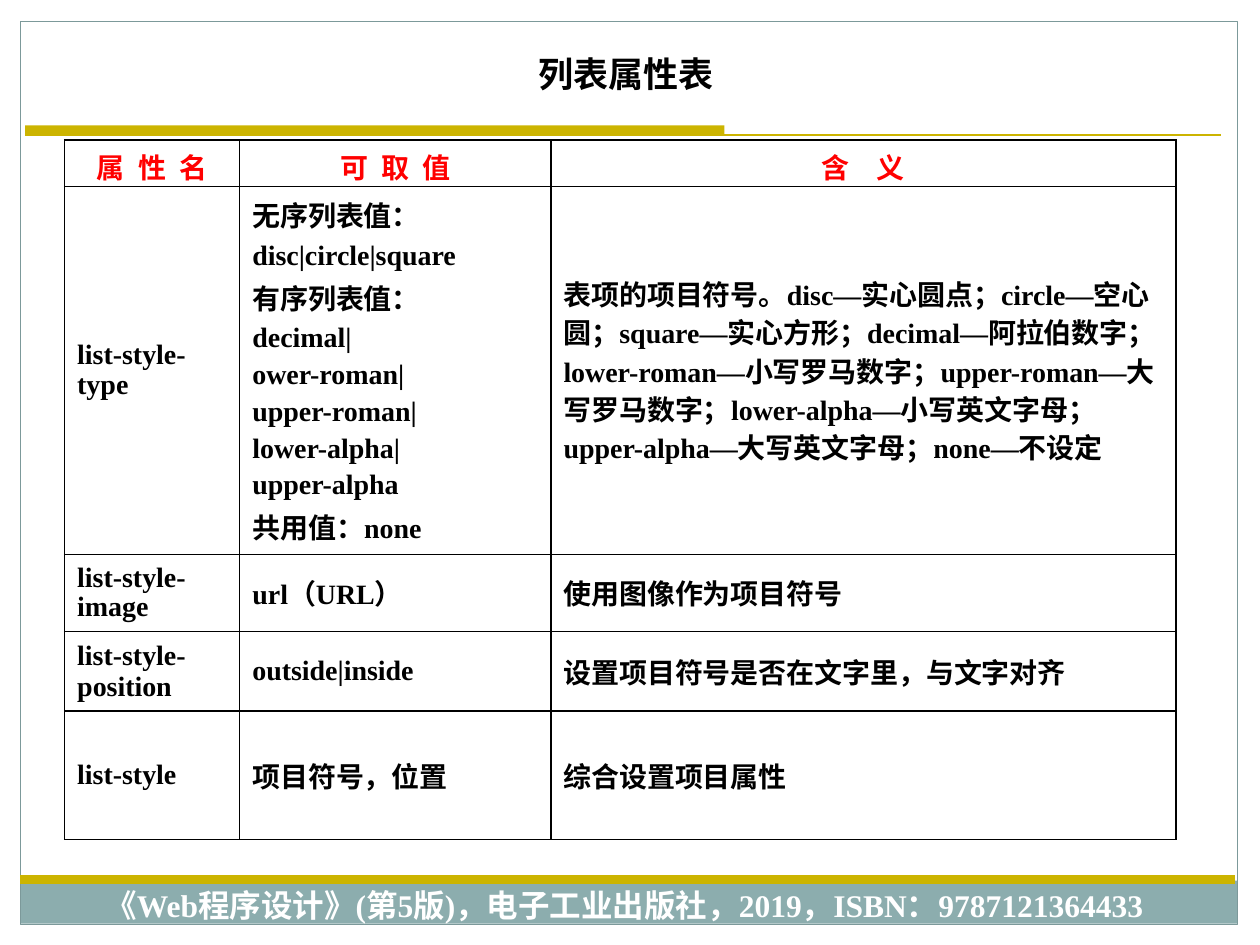
from dataclasses import dataclass
from typing import Any

from lxml import etree
from pptx import Presentation
from pptx import util as u
from pptx.dml.color import RGBColor
from pptx.enum import shapes, text
from pptx.oxml.ns import qn

HEADERS = [("属 性 名", 2), ("可 取 值", 2), ("含 义", 6)]
LIST_VALUES = [
    "无序列表值：", "disc|circle|square", "有序列表值：", "decimal|", "ower-roman|",
    "upper-roman|", "lower-alpha|", "upper-alpha", "共用值：none",
]
MARKERS = (
    "表项的项目符号。disc—实心圆点；circle—空心圆；square—实心方形；decimal—阿拉伯数字；"
    "lower-roman—小写罗马数字；upper-roman—大写罗马数字；lower-alpha—小写英文字母；"
    "upper-alpha—大写英文字母；none—不设定"
)
PROPERTIES = [
    (["list-style-type"], LIST_VALUES, [MARKERS]),
    (["list-style-image"], ["url（URL）"], ["使用图像作为项目符号"]),
    (["list-style-position"], ["outside|inside"], ["设置项目符号是否在文字里，与文字对齐"]),
    (["list-style"], ["项目符号，位置"], ["综合设置项目属性"]),
]
TIGHT_ROWS = (1, 2)
MARGINS = [(0, 0, 100, 1.7), (98.3, 0, 1.7, 75), (0, 0, 1.7, 75)]


def colour(value):
    return RGBColor.from_string(value)


@dataclass
class Board:
    presentation: Any
    slide: Any
    columns: int = 100
    rows: int = 75
    font: str = "Times New Roman"
    ink: str = "000000"
    gold: str = "CCB400"
    teal: str = "8CADAE"
    frame: str = "7C999A"
    header: str = "FF0000"
    paper: str = "FFFFFF"

    def across(self, count):
        return u.Emu(round(self.presentation.slide_width * count / self.columns))

    def down(self, count):
        return u.Emu(round(self.presentation.slide_height * count / self.rows))

    def place(self, left, top, width, height):
        return self.across(left), self.down(top), self.across(width), self.down(height)

    def run(self, paragraph, words, size, ink, font=None, spacing=0):
        run = paragraph.add_run()
        run.text = words
        run.font.size = u.Pt(size)
        run.font.bold = True
        run.font.name = font or self.font
        run.font.color.rgb = colour(ink)
        if spacing:
            run._r.get_or_add_rPr().set("spc", str(spacing * 100))

    def rectangle(self, area, fill=None, line=None):
        shape = self.slide.shapes.add_shape(shapes.MSO_SHAPE.RECTANGLE, *self.place(*area))
        shape.shadow.inherit = False
        if fill:
            shape.fill.solid()
            shape.fill.fore_color.rgb = colour(fill)
        else:
            shape.fill.background()
        if line:
            shape.line.color.rgb = colour(line)
            shape.line.width = u.Pt(0.75)
        else:
            shape.line.fill.background()

    def rule(self, left, right, top, weight):
        line = self.slide.shapes.add_connector(
            shapes.MSO_CONNECTOR.STRAIGHT,
            self.across(left), self.down(top), self.across(right), self.down(top))
        line.line.color.rgb = colour(self.gold)
        line.line.width = u.Pt(weight)
        etree.SubElement(line._element.spPr, qn("a:effectLst"))

    def caption(self, shape, words, size, ink, font=None):
        frame = shape.text_frame
        frame.word_wrap = True
        frame.auto_size = text.MSO_AUTO_SIZE.NONE
        frame.vertical_anchor = text.MSO_ANCHOR.MIDDLE
        frame.margin_left = frame.margin_right = 0
        paragraph = frame.paragraphs[0]
        paragraph.alignment = text.PP_ALIGN.CENTER
        self.run(paragraph, words, size, ink, font)

    def title(self, area, words):
        shape = self.slide.shapes.title
        shape.left, shape.top, shape.width, shape.height = self.place(*area)
        self.caption(shape, words, 20, self.ink, "Arial")

    def label(self, area, words):
        shape = self.slide.shapes.add_textbox(*self.place(*area))
        self.caption(shape, words, 18, self.paper)

    def border(self, cell):
        properties = cell._tc.get_or_add_tcPr()
        for index, side in enumerate(("lnL", "lnR", "lnT", "lnB")):
            line = etree.Element(qn(f"a:{side}"), w=str(u.Pt(1)))
            fill = etree.SubElement(line, qn("a:solidFill"))
            etree.SubElement(fill, qn("a:srgbClr"), val=self.ink)
            properties.insert(index, line)

    def prepare(self, cell):
        cell.fill.background()
        cell.vertical_anchor = text.MSO_ANCHOR.MIDDLE
        self.border(cell)

    def cell(self, cell, lines, line_spacing):
        self.prepare(cell)
        frame = cell.text_frame
        for index, words in enumerate(lines):
            paragraph = frame.add_paragraph() if index else frame.paragraphs[0]
            paragraph.line_spacing = line_spacing
            if index:
                paragraph.space_before = u.Pt(3.2)
            self.run(paragraph, words, 16, self.ink)

    def heading(self, cell, words, spacing):
        self.prepare(cell)
        cell.margin_bottom = 0
        paragraph = cell.text_frame.paragraphs[0]
        paragraph.alignment = text.PP_ALIGN.CENTER
        self.run(paragraph, words, 16, self.header, spacing=spacing)

    def table(self, left, top, widths, heights):
        area = self.place(left, top, sum(widths), sum(heights))
        table = self.slide.shapes.add_table(len(heights), len(widths), *area).table
        table.first_row = table.horz_banding = False
        for column, width in zip(table.columns, widths):
            column.width = self.across(width)
        for row, height in zip(table.rows, heights):
            row.height = self.down(height)
        for index, (words, spacing) in enumerate(HEADERS):
            self.heading(table.cell(0, index), words, spacing)
        for row, entries in enumerate(PROPERTIES, 1):
            for column, lines in enumerate(entries):
                tight = row in TIGHT_ROWS and len(lines) == 1
                self.cell(table.cell(row, column), lines, 0.95 if tight else 1.0)


def main():
    presentation = Presentation()
    presentation.slide_width, presentation.slide_height = u.Inches(10), u.Inches(7.5)
    slide = presentation.slides.add_slide(presentation.slide_layouts[5])
    board = Board(presentation, slide)
    for margin in MARGINS:
        board.rectangle(margin, fill=board.paper)
    board.rectangle((1.6, 69.9, 96.6, 3.4), fill=board.teal)
    board.rectangle((1.65, 1.7, 96.6, 71.65), line=board.frame)
    board.rectangle((2, 9.95, 55.5, 0.8), fill=board.gold)
    board.rule(2, 96.9, 10.72, 0.75)
    board.rule(1.6, 98, 69.8, 5)
    board.label((3.5, 69.8, 92.1, 4),
                "《Web程序设计》(第5版)，电子工业出版社，2019，ISBN：9787121364433")
    board.table(5.13, 11.1, (13.9, 24.7, 49.6), (3.7, 29.22, 6.1, 6.3, 10.2))
    board.title((22.95, 3.7, 53.5, 4.3), "列表属性表")
    presentation.save("out.pptx")


if __name__ == "__main__":
    main()
